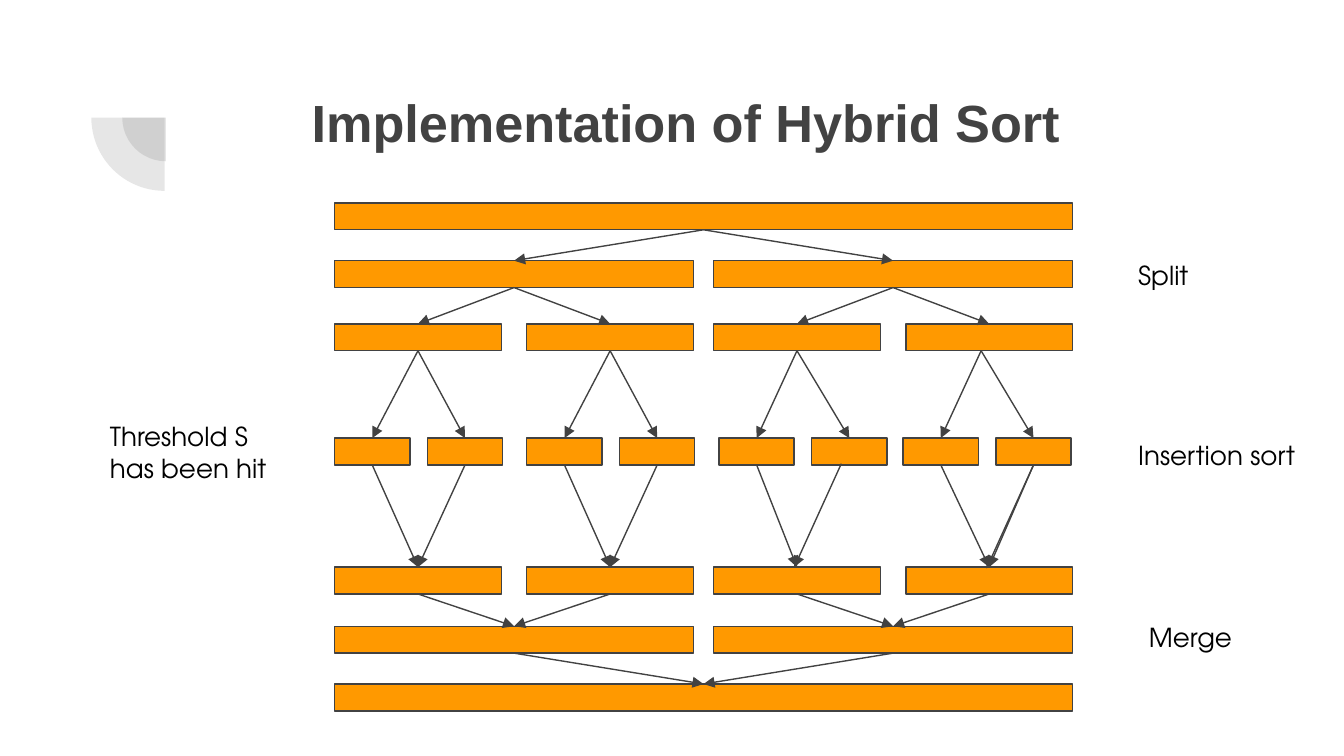
from dataclasses import dataclass

import pptx
import pptx.dml.color
import pptx.enum.shapes
import pptx.enum.text
import pptx.oxml.ns
import pptx.util
from lxml import etree
from pptx.util import Inches

ORANGE = pptx.dml.color.RGBColor(0xFF, 0x99, 0x00)
CHARCOAL = pptx.dml.color.RGBColor(0x42, 0x42, 0x42)
BLACK = pptx.dml.color.RGBColor(0x00, 0x00, 0x00)

SLIDE_WIDTH = Inches(10)
SLIDE_HEIGHT = SLIDE_WIDTH * 9 // 16
BAR_HEIGHT = 0.2
LINE_WIDTH = pptx.util.Pt(0.75)
TOP, BOTTOM = 0, 2
TITLE_FONT = {"name": "Arial", "size": pptx.util.Pt(28), "bold": True}
LABEL_FONT = {"name": "TeX Gyre Adventor", "size": pptx.util.Pt(14)}
FRAME = {"word_wrap": True, "vertical_anchor": pptx.enum.text.MSO_ANCHOR.TOP,
         "margin_left": Inches(0.1), "margin_right": Inches(0.1),
         "margin_top": Inches(0.1), "margin_bottom": Inches(0.1)}


@dataclass(frozen=True)
class Level:
    """One row of equally wide array pieces."""
    top: float
    width: float
    lefts: tuple[float, ...]


@dataclass(frozen=True)
class Label:
    text: str
    left: float
    top: float
    width: float
    height: float


@dataclass(frozen=True)
class Arrow:
    x1: float
    y1: float
    x2: float
    y2: float


WHOLE = (5.49, (2.49,))
HALVES = (2.67, (2.49, 5.31))
QUARTERS = (1.24, (2.49, 3.92, 5.31, 6.74))
EIGHTHS = (0.56, (2.49, 3.18, 3.92, 4.61, 5.35, 6.04, 6.72, 7.41))
LEVELS = [
    Level(1.51, *WHOLE), Level(1.94, *HALVES), Level(2.41, *QUARTERS),
    Level(3.26, *EIGHTHS),
    Level(4.22, *QUARTERS), Level(4.66, *HALVES), Level(5.09, *WHOLE),
]

# Arrows that run beside the middle of a bar: (level, upper bar, lower bar)
OFF_CENTRE = {
    (2, 3, 6): Arrow(7.3, 2.61, 7, 3.26),
    (2, 3, 7): Arrow(7.3, 2.61, 7.69, 3.26),
    (3, 5, 2): Arrow(6.26, 3.45, 5.91, 4.22),
}
SECOND_MERGE_ARROW = Arrow(7.69, 3.46, 7.34, 4.23)

TITLE = Label("Implementation of Hybrid Sort", 2.22, 0.57, 6.52, 0.76)
LABELS = [
    Label("Split", 8.37, 1.83, 1.41, 0.66),
    Label("Insertion sort", 8.37, 3.17, 1.41, 0.66),
    Label("Merge", 8.45, 4.52, 1.24, 0.42),
    Label("Threshold S has been hit", 0.72, 3.03, 1.5, 0.42),
]


def set_all(target: object, values: dict) -> None:
    for name, value in values.items():
        setattr(target, name, value)


def add_label(slide, label: Label, font: dict, color) -> None:
    box = slide.shapes.add_textbox(Inches(label.left), Inches(label.top),
                                   Inches(label.width), Inches(label.height))
    set_all(box.text_frame, FRAME)
    run = box.text_frame.paragraphs[0].add_run()
    run.text = label.text
    set_all(run.font, font)
    run.font.color.rgb = color


def add_quadrant(slide, left: float, top: float, size: float) -> None:
    quadrant = slide.shapes.add_shape(
        pptx.enum.shapes.MSO_SHAPE.PIE,
        Inches(left), Inches(top), Inches(size), Inches(size))
    quadrant.rotation = 270
    quadrant.adjustments[0] = 108
    quadrant.adjustments[1] = 162
    quadrant.shadow.inherit = False
    quadrant.line.fill.background()
    quadrant.fill.solid()
    quadrant.fill.fore_color.rgb = CHARCOAL
    color = quadrant.fill._xPr.find(".//" + pptx.oxml.ns.qn("a:srgbClr"))
    etree.SubElement(color, pptx.oxml.ns.qn("a:alpha"), val="13000")


def add_bar(slide, left: float, top: float, width: float):
    bar = slide.shapes.add_shape(
        pptx.enum.shapes.MSO_SHAPE.RECTANGLE,
        Inches(left), Inches(top), Inches(width), Inches(BAR_HEIGHT))
    bar.shadow.inherit = False
    bar.fill.solid()
    bar.fill.fore_color.rgb = ORANGE
    bar.line.color.rgb = CHARCOAL
    bar.line.width = LINE_WIDTH
    return bar


def add_arrow(slide, arrow: Arrow):
    connector = slide.shapes.add_connector(
        pptx.enum.shapes.MSO_CONNECTOR.STRAIGHT,
        Inches(arrow.x1), Inches(arrow.y1), Inches(arrow.x2), Inches(arrow.y2))
    connector.line.color.rgb = CHARCOAL
    connector.line.width = LINE_WIDTH
    etree.SubElement(connector.line._get_or_add_ln(),
                     pptx.oxml.ns.qn("a:tailEnd"), type="triangle")
    etree.SubElement(connector._element.spPr, pptx.oxml.ns.qn("a:effectLst"))
    return connector


def join_bars(slide, upper, lower) -> None:
    connector = add_arrow(slide, Arrow(0, 0, 1, 1))
    connector.begin_connect(upper, BOTTOM)
    connector.end_connect(lower, TOP)


def main() -> None:
    deck = pptx.Presentation()
    deck.slide_width, deck.slide_height = SLIDE_WIDTH, SLIDE_HEIGHT
    slide = deck.slides.add_slide(deck.slide_layouts[6])

    # Corner ornament and title
    add_quadrant(slide, 0.91, 0.55, 0.65)
    add_quadrant(slide, 0.68, 0.33, 1.09)
    add_label(slide, TITLE, TITLE_FONT, CHARCOAL)

    # Array pieces, from the whole down to eighths and back
    rows = [[add_bar(slide, left, level.top, level.width)
             for left in level.lefts] for level in LEVELS]

    # Each bar splits into two, then each pair merges into one
    for depth, (uppers, lowers) in enumerate(zip(rows, rows[1:])):
        splitting = len(uppers) < len(lowers)
        for i in range(max(len(uppers), len(lowers))):
            up, low = (i // 2, i) if splitting else (i, i // 2)
            if (depth, up, low) in OFF_CENTRE:
                add_arrow(slide, OFF_CENTRE[depth, up, low])
            else:
                join_bars(slide, uppers[up], lowers[low])
    add_arrow(slide, SECOND_MERGE_ARROW)

    # Phase labels
    for label in LABELS:
        add_label(slide, label, LABEL_FONT, BLACK)

    deck.save("out.pptx")


if __name__ == "__main__":
    main()
